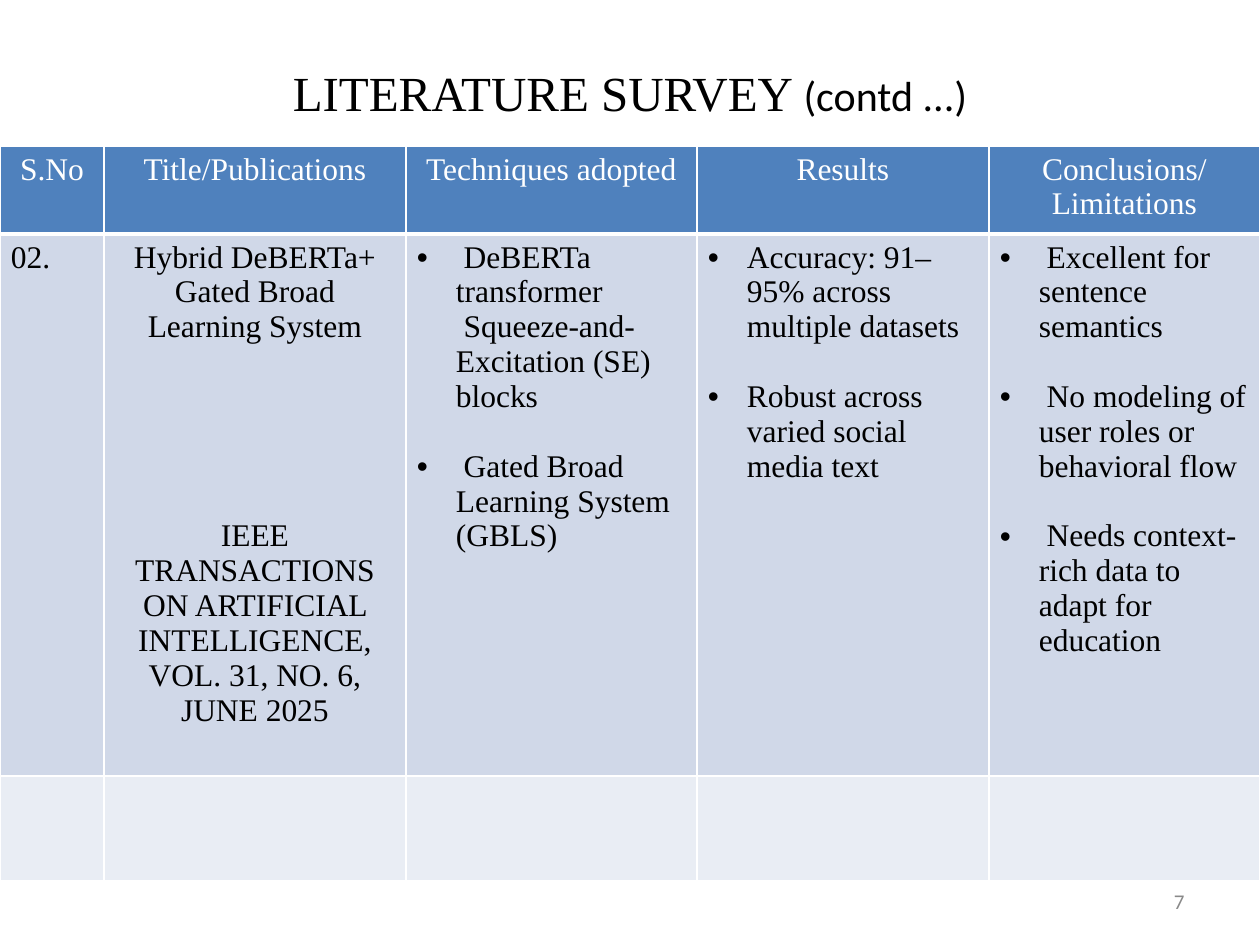
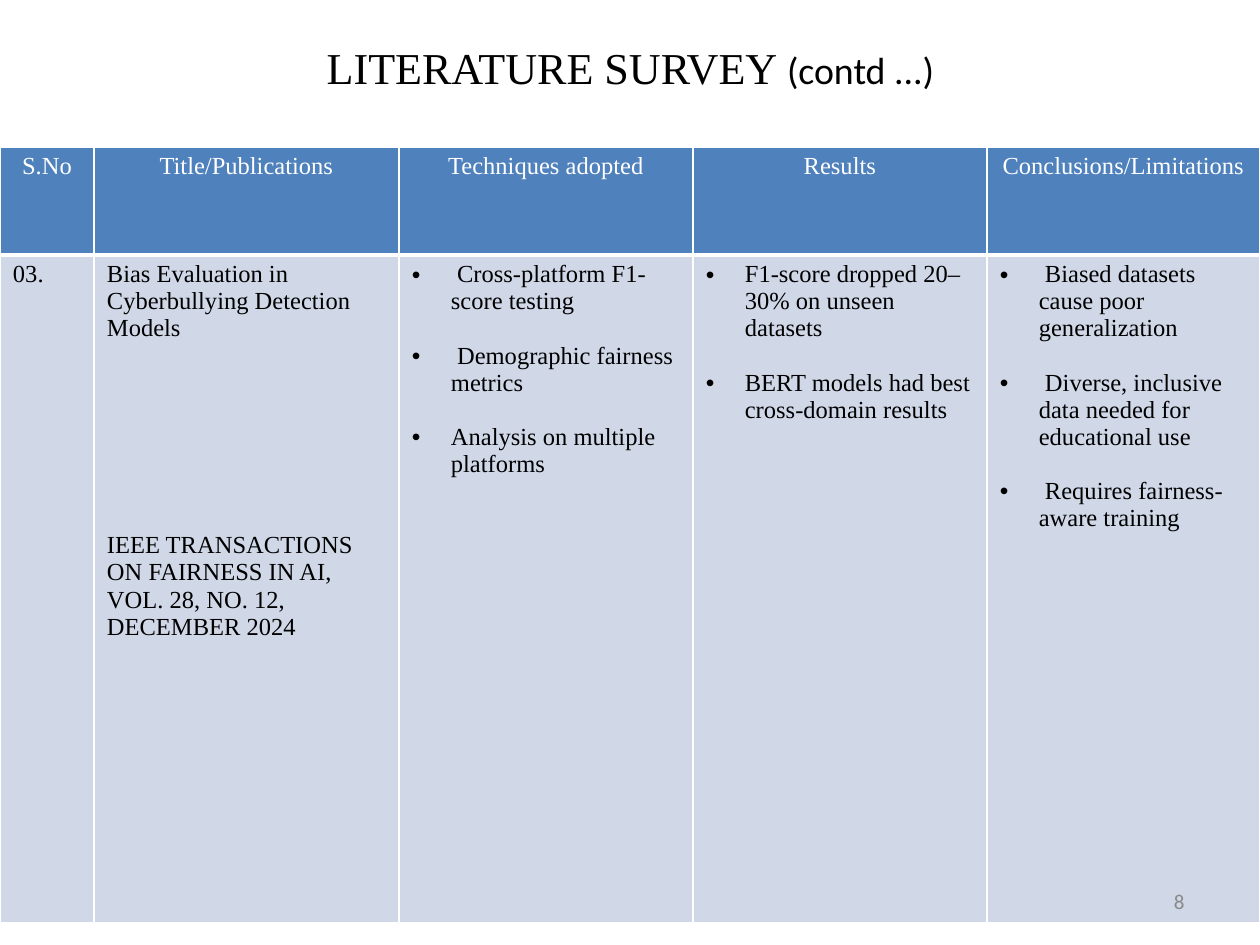
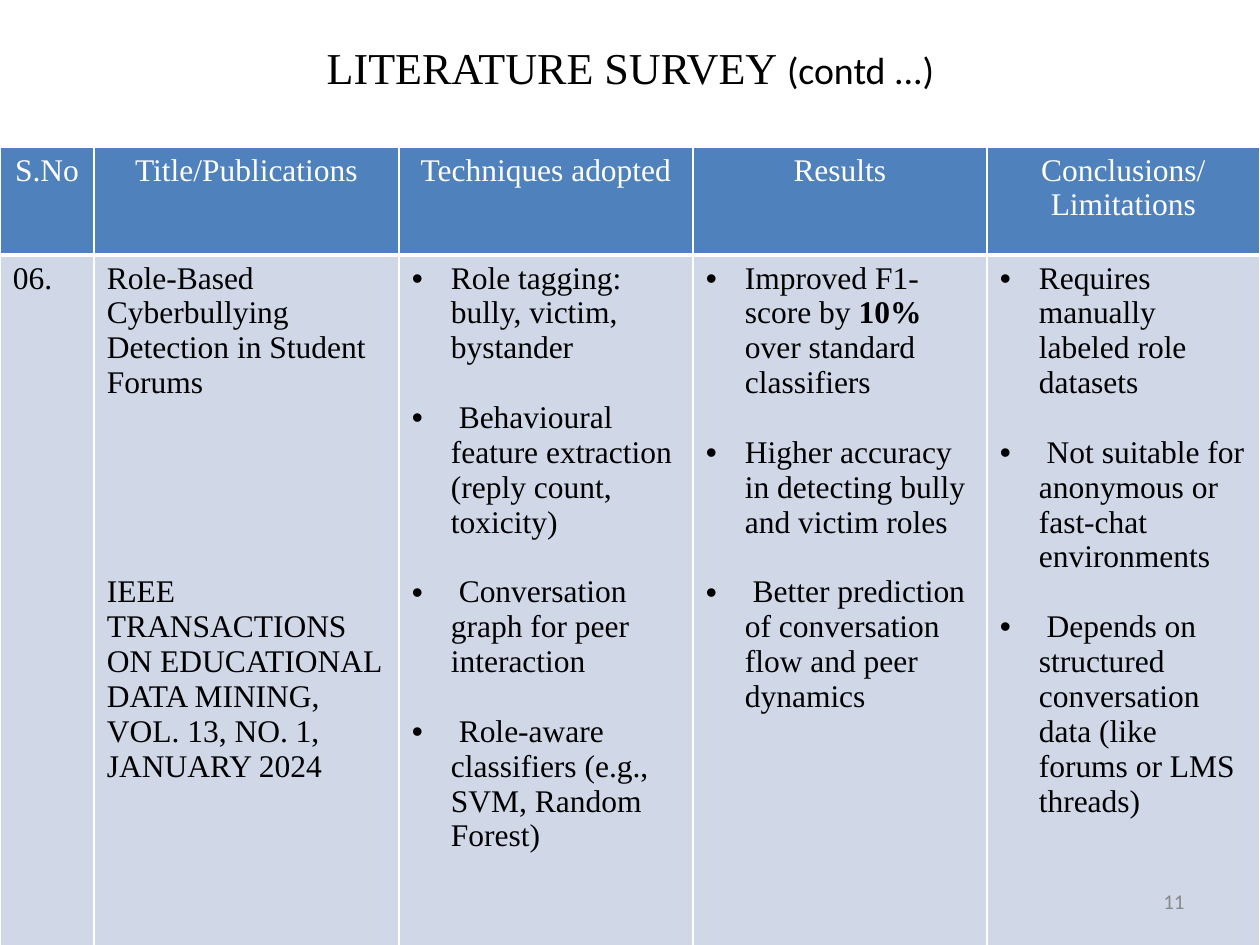
from lxml import etree
from pptx import Presentation
from pptx import util as u
from pptx.dml.color import RGBColor
from pptx.enum import text
from pptx.oxml.ns import qn

PX_PER_INCH = 126
SERIF, SANS = "Times New Roman", "Calibri"
BLACK, WHITE, GREY = "000000", "FFFFFF", "898989"
HEADER_FILL, ROW_FILLS = "4F81BD", ("D0D8E8", "E9EDF4")
LINE_HEIGHT = 1.107
HEADINGS = ("S.No", "Title/Publications", "Techniques adopted", "Results",
            "Conclusions/Limitations")
PUBLICATION_COLUMN = 1
LEFT, CENTER, RIGHT = (text.PP_ALIGN.LEFT, text.PP_ALIGN.CENTER, text.PP_ALIGN.RIGHT)


def px(length):
    return u.Emu(round(length * u.Inches(1) / PX_PER_INCH))


def rgb(color):
    return RGBColor.from_string(color)


def style(font, size, color, name=SERIF):
    font.size, font.name = u.Pt(size), name
    font.color.rgb = rgb(color)


def add_bullet(paragraph):
    properties = paragraph._p.get_or_add_pPr()
    properties.set("marL", str(px(39)))
    properties.set("indent", str(-px(39)))
    color = etree.SubElement(properties, qn("a:buClr"))
    etree.SubElement(color, qn("a:srgbClr"), val=BLACK)
    etree.SubElement(properties, qn("a:buFont"), typeface="Arial")
    etree.SubElement(properties, qn("a:buChar"), char="•")


def add_borders(cell, bottom):
    properties = cell._tc.get_or_add_tcPr()
    for side, width in (("L", 1), ("R", 1), ("T", 1), ("B", bottom)):
        line = etree.SubElement(properties, qn("a:ln" + side), w=str(u.Pt(width)))
        fill = etree.SubElement(line, qn("a:solidFill"))
        etree.SubElement(fill, qn("a:srgbClr"), val=WHITE)


def write_runs(paragraph, content):
    """Write the content, with *starred* words bold and line breaks kept."""
    for number, line in enumerate(content.split("\n")):
        if number:
            paragraph.add_line_break()
        for position, part in enumerate(line.split("*")):
            run = paragraph.add_run()
            run.text = part
            if position % 2:
                run.font.bold = True


class SurveyDeck:
    def __init__(self):
        self.deck = Presentation()
        self.deck.slide_width, self.deck.slide_height = px(1260), px(945)
        self.slide = None

    def new_slide(self):
        self.slide = self.deck.slides.add_slide(self.deck.slide_layouts[5])

    def title(self, box, size, contd_size):
        heading = self.slide.shapes.title
        heading.left, heading.top, heading.width, heading.height = map(px, box)
        frame = heading.text_frame
        frame.word_wrap, frame.auto_size = True, text.MSO_AUTO_SIZE.NONE
        frame.vertical_anchor = text.MSO_ANCHOR.MIDDLE
        # The text sits one small line above the middle of its box.
        frame.margin_bottom = px(6) + u.Pt(1.22 * contd_size)
        paragraph = frame.paragraphs[0]
        paragraph.alignment = CENTER
        for words, points, name in (("LITERATURE SURVEY ", size, SERIF),
                                    ("(contd ...)", contd_size, SANS)):
            run = paragraph.add_run()
            run.text = words
            style(run.font, points, BLACK, name)

    def page_number(self, number):
        box = self.slide.shapes.add_textbox(px(903), px(876), px(294), px(50))
        frame = box.text_frame
        frame.word_wrap = True
        frame.vertical_anchor = text.MSO_ANCHOR.MIDDLE
        paragraph = frame.paragraphs[0]
        paragraph.text, paragraph.alignment = str(number), RIGHT
        style(paragraph.font, 12, GREY, SANS)

    def cell(self, cell, fill, inset, header=False):
        cell.margin_left = cell.margin_right = px(inset)
        cell.margin_top = cell.margin_bottom = px(6)
        add_borders(cell, 3 if header else 1)
        cell.fill.solid()
        cell.fill.fore_color.rgb = rgb(fill)

    def cell_text(self, cell, entries, size, color=BLACK, align=LEFT, bullets=False, gap=1):
        """Fill a cell with entries that are gap lines apart."""
        frame = cell.text_frame
        for number, entry in enumerate(entries):
            paragraph = frame.add_paragraph() if number else frame.paragraphs[0]
            paragraph.alignment = align
            if number:
                paragraph.space_before = u.Pt(round(gap * LINE_HEIGHT * size, 1))
            if bullets:
                add_bullet(paragraph)
            style(paragraph.font, size, color)
            write_runs(paragraph, entry)

    def survey_table(self, top, widths, heights, size, inset, entry, publication_gap,
                     publication_align=LEFT):
        frame = self.slide.shapes.add_table(len(heights), len(widths), 0, px(top),
                                            px(sum(widths)), px(sum(heights)))
        table = frame.table
        table.first_row = table.horz_banding = False
        for column, width in zip(table.columns, widths):
            column.width = px(width)
        for row, height in zip(table.rows, heights):
            row.height = px(height)
        fills = (HEADER_FILL,) + ROW_FILLS
        for r, fill in zip(range(len(heights)), fills):
            for c in range(len(widths)):
                self.cell(table.cell(r, c), fill, 13 if c == PUBLICATION_COLUMN else inset,
                          header=r == 0)
        for c, (heading, entries) in enumerate(zip(HEADINGS, entry)):
            self.cell_text(table.cell(0, c), [heading], size, WHITE, CENTER)
            is_publication = c == PUBLICATION_COLUMN
            self.cell_text(table.cell(1, c), entries, size,
                           align=publication_align if is_publication else LEFT,
                           bullets=c > PUBLICATION_COLUMN,
                           gap=publication_gap if is_publication else 1)


HYBRID = (
    ["02."],
    ["Hybrid DeBERTa+ Gated Broad Learning System",
     "IEEE TRANSACTIONS ON ARTIFICIAL INTELLIGENCE, VOL. 31, NO. 6, JUNE 2025"],
    [" DeBERTa transformer\n Squeeze-and-Excitation (SE) blocks",
     " Gated Broad Learning System (GBLS)"],
    ["Accuracy: 91–95% across multiple datasets",
     "Robust across varied social media text"],
    [" Excellent for sentence semantics",
     " No modeling of user roles or behavioral flow",
     " Needs context-rich data to adapt for education"],
)
BIAS = (
    ["03."],
    ["Bias Evaluation in Cyberbullying Detection Models",
     "IEEE TRANSACTIONS ON FAIRNESS IN AI, VOL. 28, NO. 12, DECEMBER 2024"],
    [" Cross-platform F1-score testing",
     " Demographic fairness metrics",
     "Analysis on multiple platforms"],
    ["F1-score dropped 20–30% on unseen datasets",
     "BERT models had best cross-domain results"],
    [" Biased datasets cause poor generalization",
     " Diverse, inclusive data needed for educational use",
     " Requires fairness-aware training"],
)
ROLES = (
    ["06."],
    ["Role-Based Cyberbullying Detection in Student Forums",
     "IEEE TRANSACTIONS ON EDUCATIONAL DATA MINING, VOL. 13, NO. 1, JANUARY 2024"],
    ["Role tagging: bully, victim, bystander",
     " Behavioural feature extraction (reply count, toxicity)",
     " Conversation graph for peer interaction",
     " Role-aware classifiers (e.g., SVM, Random Forest)"],
    ["Improved F1-score by *10%* over standard classifiers",
     "Higher accuracy in detecting bully and victim roles",
     " Better prediction of conversation flow and peer dynamics"],
    ["Requires manually labeled role datasets",
     " Not suitable for anonymous or fast-chat environments",
     " Depends on structured conversation data (like forums or LMS threads)"],
)


def main():
    survey = SurveyDeck()

    survey.new_slide()
    survey.title((63, 38, 1134, 158), 28, 24)
    survey.survey_table(146, (104, 302, 291, 292, 271), (88, 542, 105), 18, 11,
                        HYBRID, 5, CENTER)
    survey.page_number(7)

    for number, entry, size, body_height, gap in ((8, BIAS, 14, 668, 7),
                                                  (11, ROLES, 18, 693, 5)):
        survey.new_slide()
        survey.title((32, 32, 1197, 116), 25.2, 21.6)
        survey.survey_table(147, (94, 305, 294, 294, 273), (108, body_height), size, 13,
                            entry, gap)
        survey.page_number(number)

    survey.deck.save("out.pptx")


if __name__ == "__main__":
    main()
